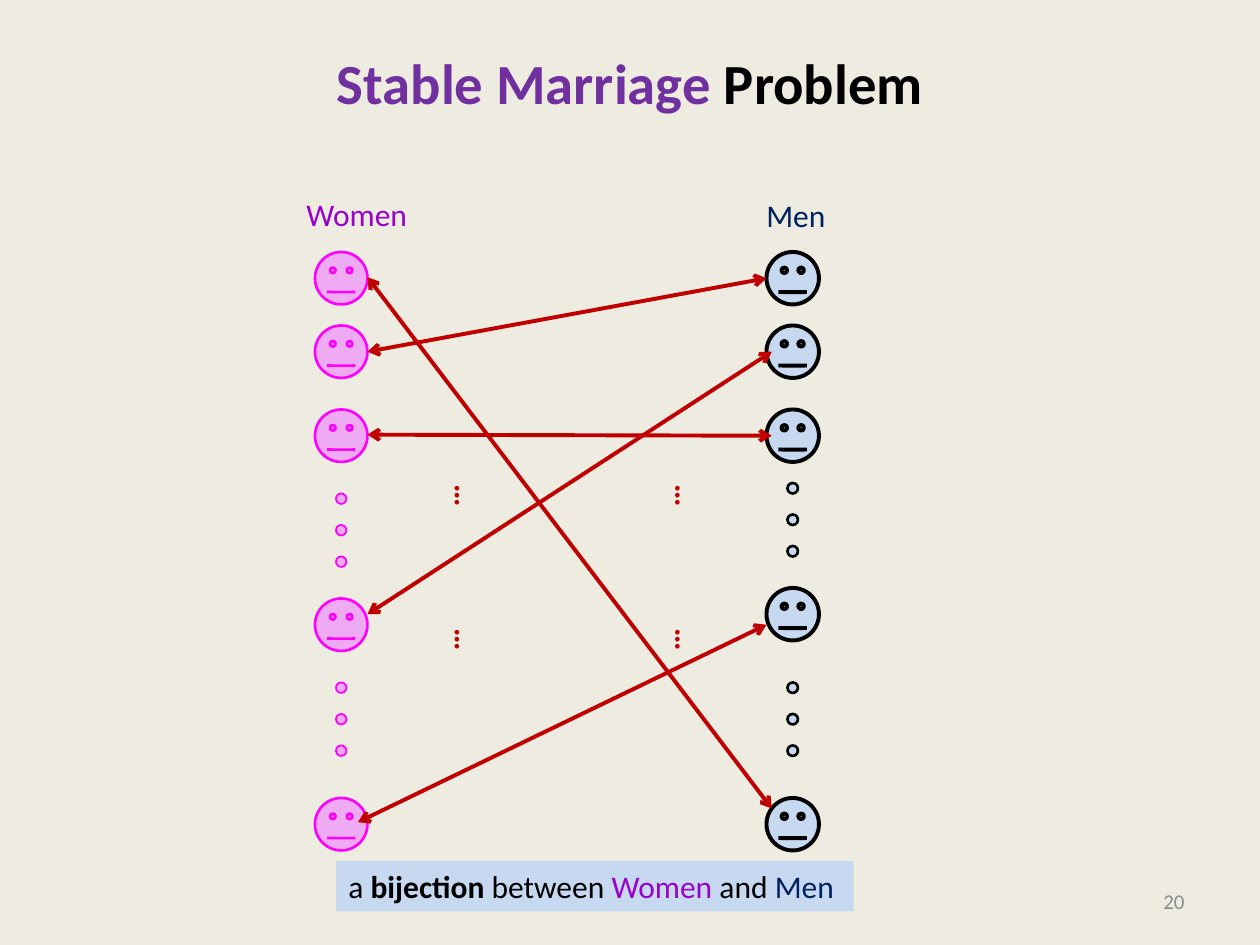
from pptx import Presentation
from pptx.dml.color import RGBColor
from pptx.enum.shapes import MSO_CONNECTOR, MSO_SHAPE
from pptx.enum.text import MSO_ANCHOR, PP_ALIGN
from pptx.oxml.ns import qn
from pptx.util import Inches, Pt
from lxml.etree import SubElement

SAND = RGBColor(0xEE, 0xEC, 0xE1)
PURPLE = RGBColor(0x70, 0x30, 0xA0)
VIOLET = RGBColor(0x99, 0x00, 0xCC)
NAVY = RGBColor(0x00, 0x20, 0x60)
PINK = RGBColor(0xEF, 0xAA, 0xF4)
FUCHSIA = RGBColor(0xFF, 0x00, 0xFF)
SKY = RGBColor(0xC6, 0xD9, 0xF1)
BLACK = RGBColor(0, 0, 0)
RED = RGBColor(0xC0, 0, 0)
GRAY = RGBColor(0x8C, 0x8C, 0x8C)


def unit(count):
    """Turn grid cells, twelve to the inch, into a length."""
    return Inches(count / 12)


class Board:
    font = "Calibri"
    face = 5
    dot = 1

    def __init__(self, slide):
        self.slide = slide
        self.shapes = slide.shapes
        slide.background.fill.solid()
        slide.background.fill.fore_color.rgb = SAND

    def label(self, frame, runs, size, align=PP_ALIGN.LEFT):
        """Fill the frame with (text, colour, bold) runs."""
        line = frame.paragraphs[0]
        line.alignment = align
        for text, color, bold in runs:
            run = line.add_run()
            run.text = text
            run.font.name = self.font
            run.font.size = Pt(size)
            run.font.bold = bold
            run.font.color.rgb = color

    def text(self, box, runs, size=18, align=PP_ALIGN.LEFT, wrap=False, anchor=MSO_ANCHOR.TOP):
        item = self.shapes.add_textbox(*map(unit, box))
        item.text_frame.word_wrap = wrap
        item.text_frame.vertical_anchor = anchor
        self.label(item.text_frame, runs, size, align)
        return item

    def shape(self, kind, box, fill, line=None, width=0):
        item = self.shapes.add_shape(kind, *map(unit, box))
        item.shadow.inherit = False
        item.fill.solid()
        item.fill.fore_color.rgb = fill
        if line is None:
            item.line.fill.background()
        else:
            item.line.color.rgb = line
            item.line.width = Pt(width)
        return item

    def column(self, left, faces, dots, fill, line, widths):
        """Draw one side: faces and small dots on a shared centre line."""
        for top in faces:
            box = (left, top, self.face, self.face)
            smiley = self.shape(MSO_SHAPE.SMILEY_FACE, box, fill, line, widths[0])
            smiley.adjustments[0] = 0.002
        inset = (self.face - self.dot) / 2
        for top in dots:
            box = (left + inset, top, self.dot, self.dot)
            self.shape(MSO_SHAPE.OVAL, box, fill, line, widths[1])

    def match(self, start, end):
        arrow = self.shapes.add_connector(MSO_CONNECTOR.STRAIGHT, *map(unit, start + end))
        arrow.line.color.rgb = RED
        arrow.line.width = Pt(2.25)
        props = arrow.element.spPr
        stroke = props.find(qn("a:ln"))
        for tag in ("a:headEnd", "a:tailEnd"):
            SubElement(stroke, qn(tag), type="arrow")
        SubElement(props, qn("a:effectLst"))


def main():
    deck = Presentation()
    deck.slide_width, deck.slide_height = Inches(10), Inches(7.5)
    board = Board(deck.slides.add_slide(deck.slide_layouts[6]))

    title = board.text((6, 3.6, 108, 15),
                       [("Stable Marriage ", PURPLE, True), ("Problem", BLACK, True)],
                       32.4, PP_ALIGN.CENTER, True)
    title.text_frame.margin_top = Inches(0.08)
    board.text((86, 83.4, 28, 4.8), [("20", GRAY, False)], 12,
               PP_ALIGN.RIGHT, True, MSO_ANCHOR.MIDDLE)
    board.text((28, 18, 12.2, 4.8), [("Women", VIOLET, False)])
    board.text((71.8, 18.1, 8.2, 4.8), [("Men", NAVY, False)])

    lower = [65, 68, 71]
    board.column(30, [24, 31, 39, 57, 76], [47, 50, 53] + lower, PINK, FUCHSIA, (1.5, 1))
    board.column(73, [24, 31, 39, 56, 76], [46, 49, 52] + lower, SKY, BLACK, (2.25, 1.5))

    for start, end in [
        ((35, 41.4), (73.5, 41.5)),
        ((35, 58.5), (73.5, 33.5)),
        ((34.1, 78.3), (73, 59.5)),
        ((35, 33.5), (73, 26.5)),
        ((35, 26.4), (73.5, 77)),
    ]:
        board.match(start, end)

    for left in (42.2, 63.2):
        for top in (44.9, 58.6):
            dots = board.text((left, top, 4.6, 4.8), [("…", RED, True)])
            dots.rotation = 90

    banner = board.shape(MSO_SHAPE.RECTANGLE, (32, 82, 49.3, 4.8), SKY)
    banner.text_frame.word_wrap = False
    banner.text_frame.vertical_anchor = MSO_ANCHOR.TOP
    board.label(banner.text_frame, [
        ("a ", BLACK, False), ("bijection", BLACK, True), (" between ", BLACK, False),
        ("Women ", VIOLET, False), ("and ", BLACK, False), ("Men", NAVY, False),
    ], 18)
    deck.save("out.pptx")


if __name__ == "__main__":
    main()
